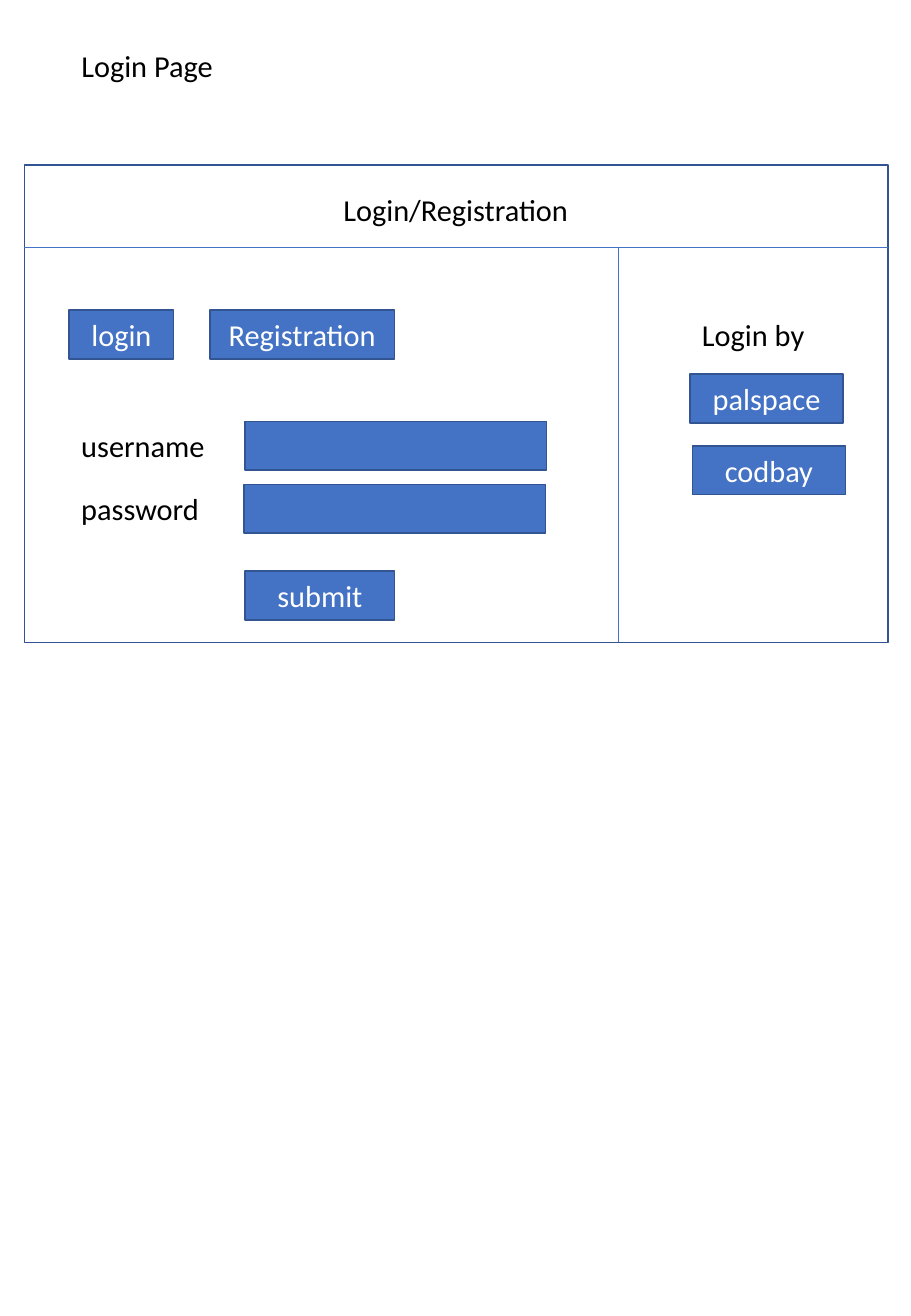
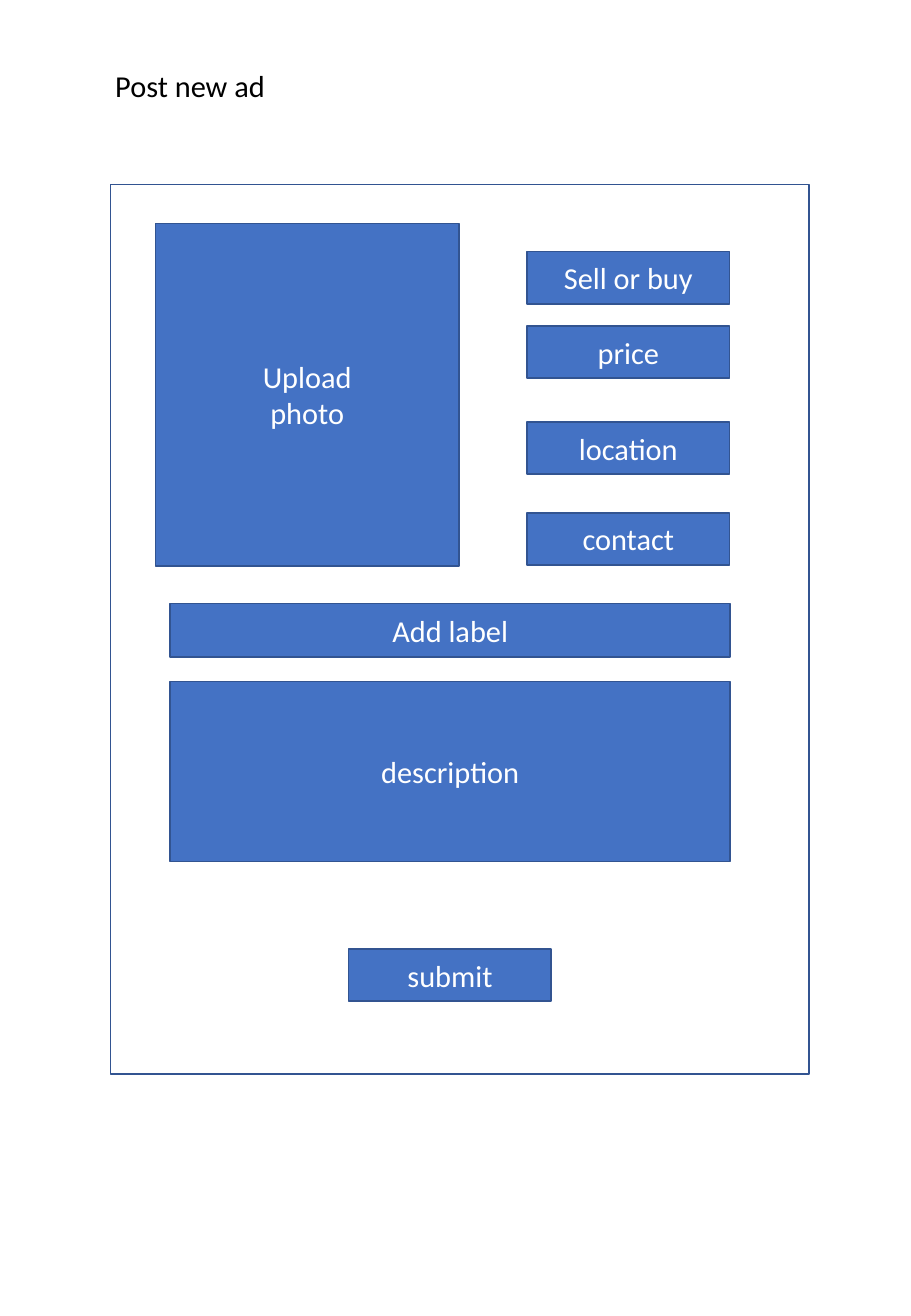
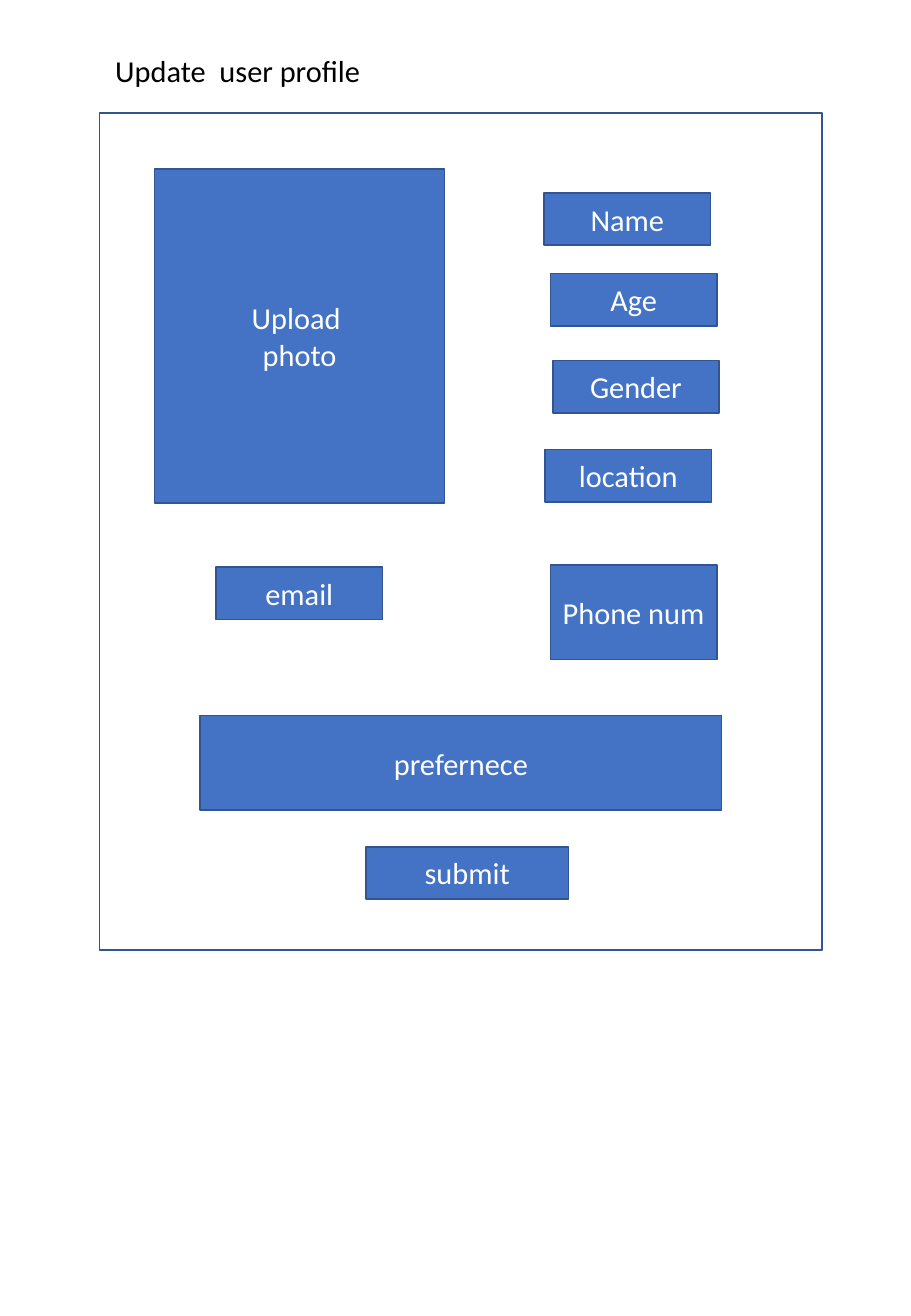
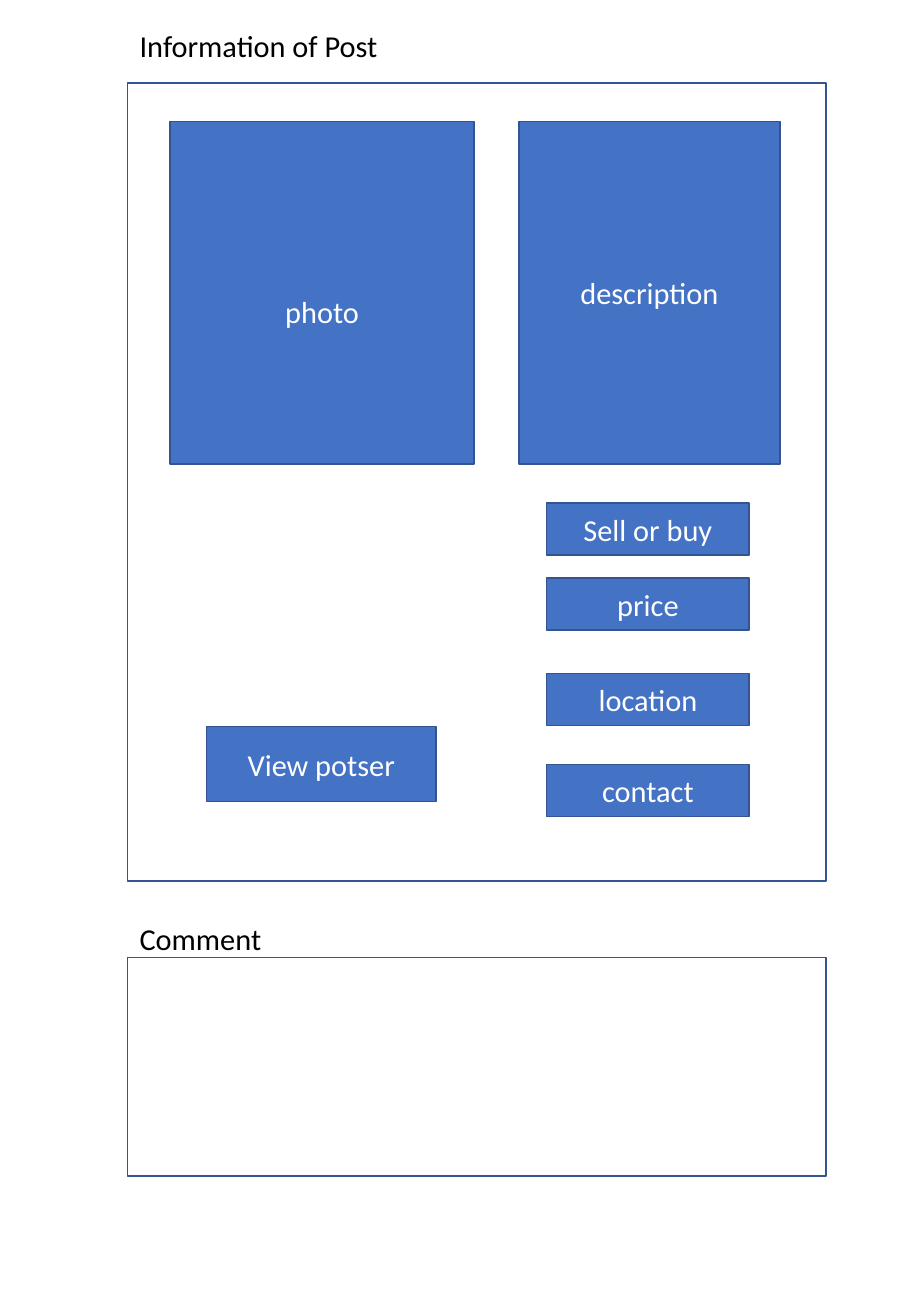
import pptx
import pptx.dml.color
import pptx.enum.shapes
import pptx.enum.text
import pptx.oxml
import pptx.util

Cm = pptx.util.Cm
Pt = pptx.util.Pt
ANCHOR = pptx.enum.text.MSO_ANCHOR
ALIGN = pptx.enum.text.PP_ALIGN
color = pptx.dml.color.RGBColor.from_string

# Shared look
FONT = "Calibri"
BLUE, EDGE, BLACK, WHITE = "4472C4", "325491", "000000", "FFFFFF"
LABEL_HEIGHT = 1.02
FIELD_WIDTH, FIELD_HEIGHT = 4.24, 1.09
PROFILE_WIDTH = 3.48
PHOTO_WIDTH, PHOTO_HEIGHT = 6.35, 7.16
FRAME_WIDTH = 14.61
AD_FIELDS = [("Sell or buy", 0), ("price", 1.56), ("location", 3.56), ("contact", 5.46)]


def write_text(frame, text, ink=BLACK, align=ALIGN.LEFT, anchor=ANCHOR.TOP, wrap=True, top=0.13):
    frame.text = text
    frame.word_wrap = wrap
    frame.auto_size = pptx.enum.text.MSO_AUTO_SIZE.NONE
    frame.vertical_anchor = anchor
    frame.margin_left = frame.margin_right = Cm(0.25)
    frame.margin_top, frame.margin_bottom = Cm(top), Cm(0.13)
    for paragraph in frame.paragraphs:
        paragraph.alignment = align
        for run in paragraph.runs:
            run.font.name = FONT
            run.font.size = Pt(18)
            run.font.color.rgb = color(ink)


def add_box(slide, text, left, top, width, height, fill=BLUE, text_top=0.13):
    shape = slide.shapes.add_shape(pptx.enum.shapes.MSO_SHAPE.RECTANGLE,
                                   Cm(left), Cm(top), Cm(width), Cm(height))
    shape.shadow.inherit = False
    if fill:
        shape.fill.solid()
        shape.fill.fore_color.rgb = color(fill)
    else:
        shape.fill.background()
    shape.line.color.rgb = color(EDGE)
    shape.line.width = Pt(1)
    if text:
        write_text(shape.text_frame, text, ink=WHITE, align=ALIGN.CENTER,
                   anchor=ANCHOR.MIDDLE, top=text_top)


presentation = pptx.Presentation()
presentation.slide_width, presentation.slide_height = Cm(19.05), Cm(27.51)

# Titles: text, left, top, width
slides = []
for text, left, top, width in [
    ("Login Page", 1.45, 0.86, 3.3),
    ("Post new ad", 2.16, 1.27, 6.2),
    ("Update  user profile", 2.16, 0.97, 6.2),
    ("Information of Post", 2.67, 0.43, 5.54),
]:
    slide = presentation.slides.add_slide(presentation.slide_layouts[5])
    title = slide.shapes.title
    title.left, title.top = Cm(left), Cm(top)
    title.width, title.height = Cm(width), Cm(LABEL_HEIGHT)
    write_text(title.text_frame, text, wrap=False)
    slides.append(slide)
login, new_ad, profile, post = slides

# Outlined page frames
for slide, left, top, width, height in [
    (login, 0.51, 3.45, 18.06, 9.98),
    (new_ad, 2.31, 3.86, FRAME_WIDTH, 18.59),
    (profile, 2.08, 2.36, 15.11, 17.5),
    (post, 2.67, 1.73, FRAME_WIDTH, 16.69),
    (post, 2.67, 20.02, FRAME_WIDTH, 4.57),
]:
    add_box(slide, "", left, top, width, height, fill=None)

# Plain labels
for slide, text, left, top, width in [
    (login, "Login/Registration", 6.93, 3.86, 5.26),
    (login, "Login by", 14.43, 6.48, 2.69),
    (login, "username", 1.45, 8.79, 3.1),
    (login, "password", 1.45, 10.11, 3.1),
    (post, "Comment", 2.67, 19.1, 3.07),
]:
    label = slide.shapes.add_textbox(Cm(left), Cm(top), Cm(width), Cm(LABEL_HEIGHT))
    write_text(label.text_frame, text, wrap=False)

# Login: header rule and column divider
for x1, y1, x2, y2 in [(0.51, 5.18, 18.57, 5.18), (12.93, 5.18, 12.93, 13.43)]:
    divider = login.shapes.add_connector(pptx.enum.shapes.MSO_CONNECTOR.STRAIGHT,
                                         Cm(x1), Cm(y1), Cm(x2), Cm(y2))
    divider.line.color.rgb = color(BLUE)
    divider.line.width = Pt(0.5)
    properties = divider._element.spPr
    properties.append(properties.makeelement(pptx.oxml.ns.qn("a:effectLst"), {}))

# Login: buttons and input fields
for text, left, top, width in [
    ("login", 1.45, 6.48, 2.18),
    ("Registration", 4.39, 6.48, 3.86),
    ("", 5.13, 8.81, 6.3),
    ("", 5.11, 10.13, 6.3),
    ("submit", 5.13, 11.94, 3.12),
    ("palspace", 14.43, 7.82, 3.2),
    ("codbay", 14.48, 9.32, 3.2),
]:
    add_box(login, text, left, top, width, LABEL_HEIGHT)

# New ad and post: the same column of ad fields
for slide, left, top in [(new_ad, 11.02, 5.26), (post, 11.43, 10.52)]:
    for text, offset in AD_FIELDS:
        add_box(slide, text, left, top + offset, FIELD_WIDTH, FIELD_HEIGHT)

# New ad: photo, wide fields and button
add_box(new_ad, "Upload\nphoto", 3.25, 4.67, PHOTO_WIDTH, PHOTO_HEIGHT)
add_box(new_ad, "Add label", 3.56, 12.62, 11.71, 1.12)
add_box(new_ad, "description", 3.56, 14.25, 11.71, 3.76)
add_box(new_ad, "submit", 7.29, 19.84, FIELD_WIDTH, FIELD_HEIGHT)

# Profile: photo, personal fields and button
add_box(profile, "Upload \nphoto", 3.23, 3.53, 6.07, 6.99)
for text, left, top in [
    ("Name", 11.38, 4.04),
    ("Age", 11.51, 5.72),
    ("Gender", 11.56, 7.54),
    ("location", 11.4, 9.4),
    ("email", 4.52, 11.86),
]:
    add_box(profile, text, left, top, PROFILE_WIDTH, FIELD_HEIGHT)
add_box(profile, "Phone num", 11.51, 11.81, PROFILE_WIDTH, 1.98)
add_box(profile, "prefernece", 4.19, 14.96, 10.9, 1.98)
add_box(profile, "submit", 7.65, 17.7, FIELD_WIDTH, FIELD_HEIGHT)

# Post: photo, description and link to the poster
add_box(post, "photo", 3.56, 2.54, PHOTO_WIDTH, PHOTO_HEIGHT, text_top=0.89)
add_box(post, "description", 10.85, 2.54, 5.46, PHOTO_HEIGHT)
add_box(post, "View potser", 4.32, 15.19, 4.8, 1.57)

presentation.save("out.pptx")
